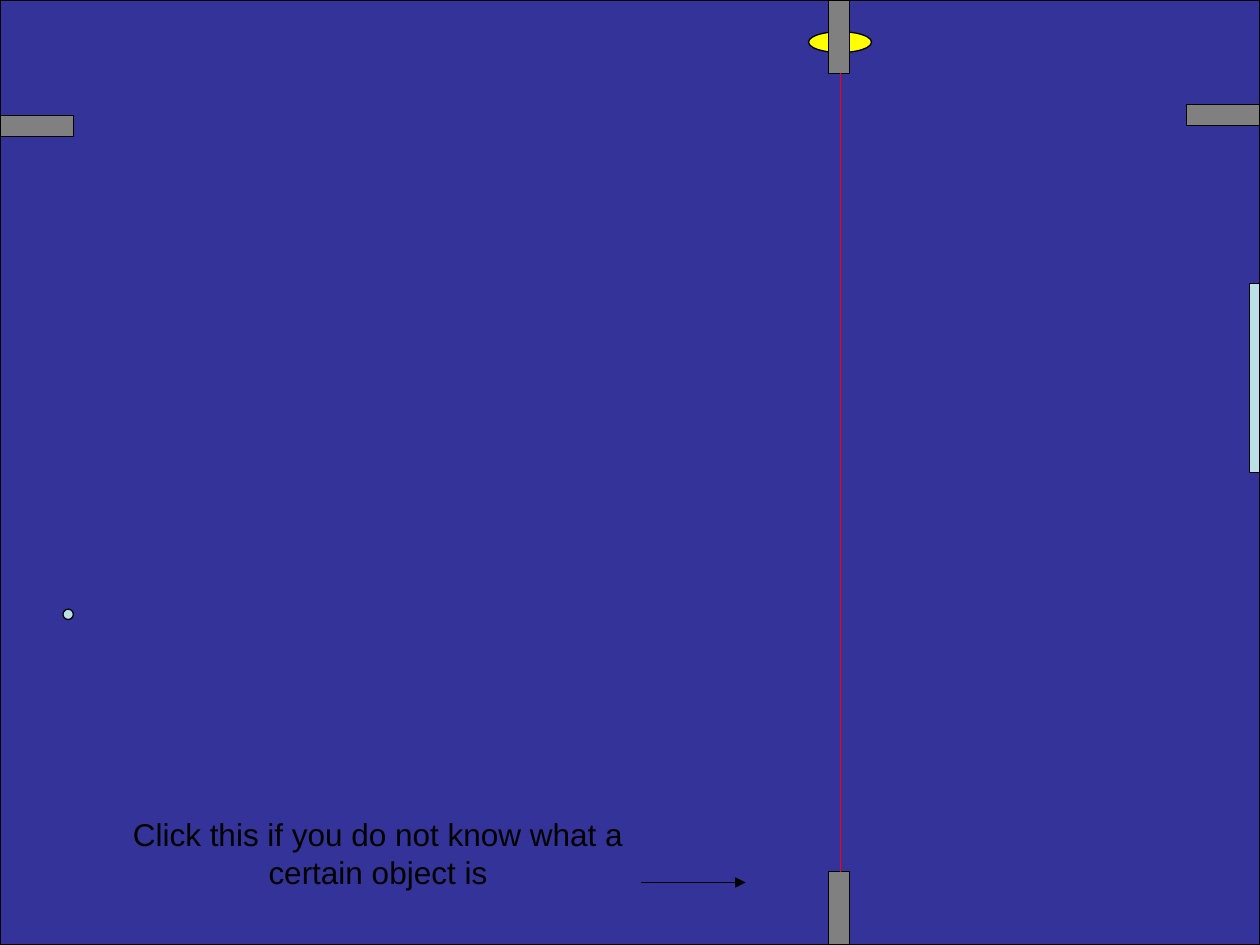
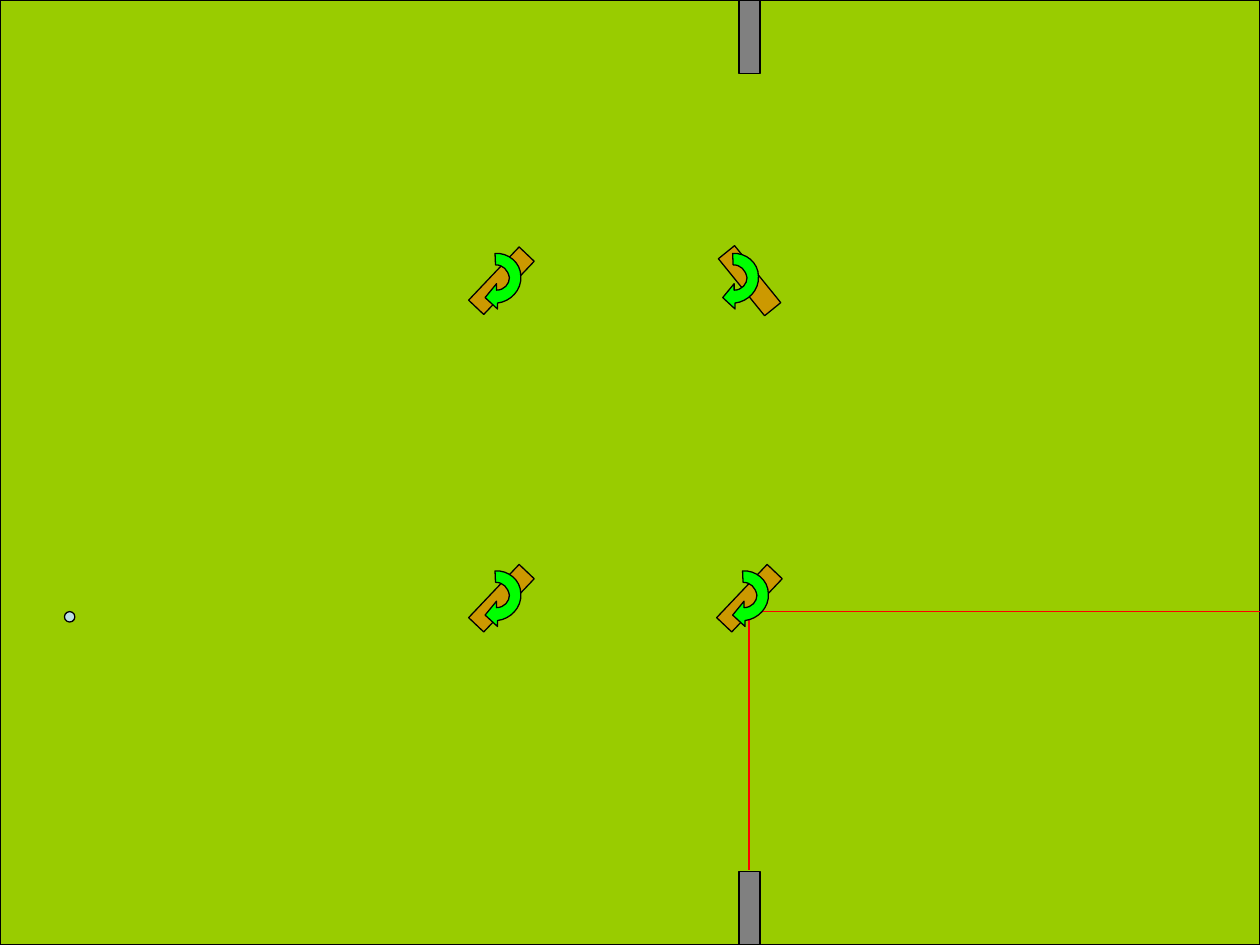
from dataclasses import dataclass

from lxml import etree
from pptx import Presentation
from pptx import util as u
from pptx.dml.color import RGBColor
from pptx.enum import shapes, text
from pptx.oxml.ns import qn


@dataclass(frozen=True)
class Theme:
    outline: str = "000000"
    night: str = "333399"
    grass: str = "99CC00"
    post: str = "808080"
    pale: str = "BBE0E3"
    lamp: str = "FFFF00"
    beam: str = "FF0000"
    plank: str = "CC9900"
    turn: str = "00FF00"
    font: str = "Arial"
    hint_size: float = 18
    line_width: float = 0.75


THEME = Theme()
WIDTH, HEIGHT = 25.4, 19.05
POST_LENGTH, POST_WIDTH = 1.48, 0.42
RECTANGLE = shapes.MSO_SHAPE.RECTANGLE
OVAL = shapes.MSO_SHAPE.OVAL

TURN_START = (0.01, 0.24)
TURN_STEPS = [
    [(0.17, 0.24), (0.27, 0.11), (0.27, -0.01)],
    [(0.24, -0.17), (0.14, -0.27), (-0.01, -0.27)],
    [(-0.02, -0.5)],
    [(0.24, -0.52), (0.5, -0.32), (0.5, -0.04)],
    [(0.52, 0.24), (0.29, 0.47), (0.03, 0.5)],
    [(0.03, 0.62)],
    [(-0.22, 0.39)],
    [(0.01, 0.11)],
]


def paint(shape, fill):
    shape.shadow.inherit = False
    shape.fill.solid()
    shape.fill.fore_color.rgb = RGBColor.from_string(fill)
    shape.line.color.rgb = RGBColor.from_string(THEME.outline)
    shape.line.width = u.Pt(THEME.line_width)


def add_block(page, left, top, width, height, fill, kind=RECTANGLE, rotation=0):
    block = page.shapes.add_shape(kind, *map(u.Cm, (left, top, width, height)))
    block.rotation = rotation
    paint(block, fill)


def add_line(page, start, end, color, arrow=False):
    line = page.shapes.add_connector(
        shapes.MSO_CONNECTOR.STRAIGHT, *map(u.Cm, (*start, *end))
    )
    line.line.color.rgb = RGBColor.from_string(color)
    line.line.width = u.Pt(THEME.line_width)
    if arrow:
        outline = line.line._get_or_add_ln()
        etree.SubElement(outline, qn("a:tailEnd"), type="triangle")
    etree.SubElement(line._element.spPr, qn("a:effectLst"))


def add_text(page, content, left, top, width, height, size, color, align):
    box = page.shapes.add_textbox(*map(u.Cm, (left, top, width, height)))
    box.text_frame.word_wrap = True
    para = box.text_frame.paragraphs[0]
    para.text = content
    para.alignment = align
    para.font.name = THEME.font
    para.font.size = u.Pt(size)
    para.font.color.rgb = RGBColor.from_string(color)


def bend_segments(shape, steps):
    segments = iter(list(shape._element.iter(qn("a:lnTo"))))
    for step in steps:
        parts = [next(segments) for point in step]
        if len(parts) == 3:
            parts[0].tag = qn("a:cubicBezTo")
            for part in parts[1:]:
                parts[0].append(part[0])
                part.getparent().remove(part)


def add_turn_arrow(page, center_x, center_y):
    points = [TURN_START, *(point for step in TURN_STEPS for point in step)]
    places = [(u.Cm(center_x + x), u.Cm(center_y + y)) for x, y in points]
    builder = page.shapes.build_freeform(*places[0])
    builder.add_line_segments(places[1:], close=True)
    arrow = builder.convert_to_shape()
    bend_segments(arrow, TURN_STEPS)
    paint(arrow, THEME.turn)


def add_spinner(page, center_x, center_y, angle, turn_shift):
    add_block(
        page,
        center_x - POST_LENGTH / 2,
        center_y - POST_WIDTH / 2,
        POST_LENGTH,
        POST_WIDTH,
        THEME.plank,
        rotation=angle,
    )
    add_turn_arrow(page, center_x + turn_shift, center_y - 0.05)


def add_room(deck, color):
    page = deck.slides.add_slide(deck.slide_layouts[6])
    add_block(page, 0, 0, WIDTH, HEIGHT, color)
    return page


def add_side_post(page, left, top):
    add_block(page, left, top, POST_LENGTH, POST_WIDTH, THEME.post)


def add_upright_post(page, left, top):
    add_block(page, left, top, POST_WIDTH, POST_LENGTH, THEME.post)


def add_ball(page, left, top):
    add_block(page, left, top, 0.21, 0.21, THEME.pale, OVAL)


def add_lamp_room(deck):
    page = add_room(deck, THEME.night)
    floor_post_top = HEIGHT - POST_LENGTH
    add_side_post(page, 0, 2.33)
    add_upright_post(page, 16.7, floor_post_top)
    add_side_post(page, WIDTH - POST_LENGTH, 2.11)
    add_ball(page, 1.27, 12.28)
    add_block(page, WIDTH - 0.21, 5.72, 0.21, 3.81, THEME.pale)
    add_block(page, 16.3, 0.64, 1.27, 0.42, THEME.lamp, OVAL)
    add_upright_post(page, 16.7, 0)
    add_line(page, (16.94, POST_LENGTH), (16.94, floor_post_top), THEME.beam)
    add_text(
        page,
        "Click this if you do not know what a certain object is",
        1.48, 16.3, 12.28, 1.78,
        size=THEME.hint_size,
        color=THEME.outline,
        align=text.PP_ALIGN.CENTER,
    )
    add_line(page, (12.92, 17.79), (15.03, 17.79), THEME.outline, arrow=True)


def add_spinner_room(deck):
    page = add_room(deck, THEME.grass)
    for top in (HEIGHT - POST_LENGTH, 0):
        add_upright_post(page, 14.9, top)
    corner = (15.1, 12.33)
    add_line(page, (15.1, 17.53), corner, THEME.beam)
    add_line(page, corner, (WIDTH, 12.33), THEME.beam)
    add_ball(page, 1.3, 12.33)
    left, right, upper, lower = 10.11, 15.11, 5.66, 12.06
    add_spinner(page, left, lower, 313.5, -0.11)
    add_spinner(page, left, upper, 313.5, -0.11)
    add_spinner(page, right, lower, 313.5, -0.12)
    add_spinner(page, right, upper, 51, -0.32)


def main():
    deck = Presentation()
    deck.slide_width, deck.slide_height = u.Cm(WIDTH), u.Cm(HEIGHT)
    add_lamp_room(deck)
    add_spinner_room(deck)
    deck.save("out.pptx")


if __name__ == "__main__":
    main()
